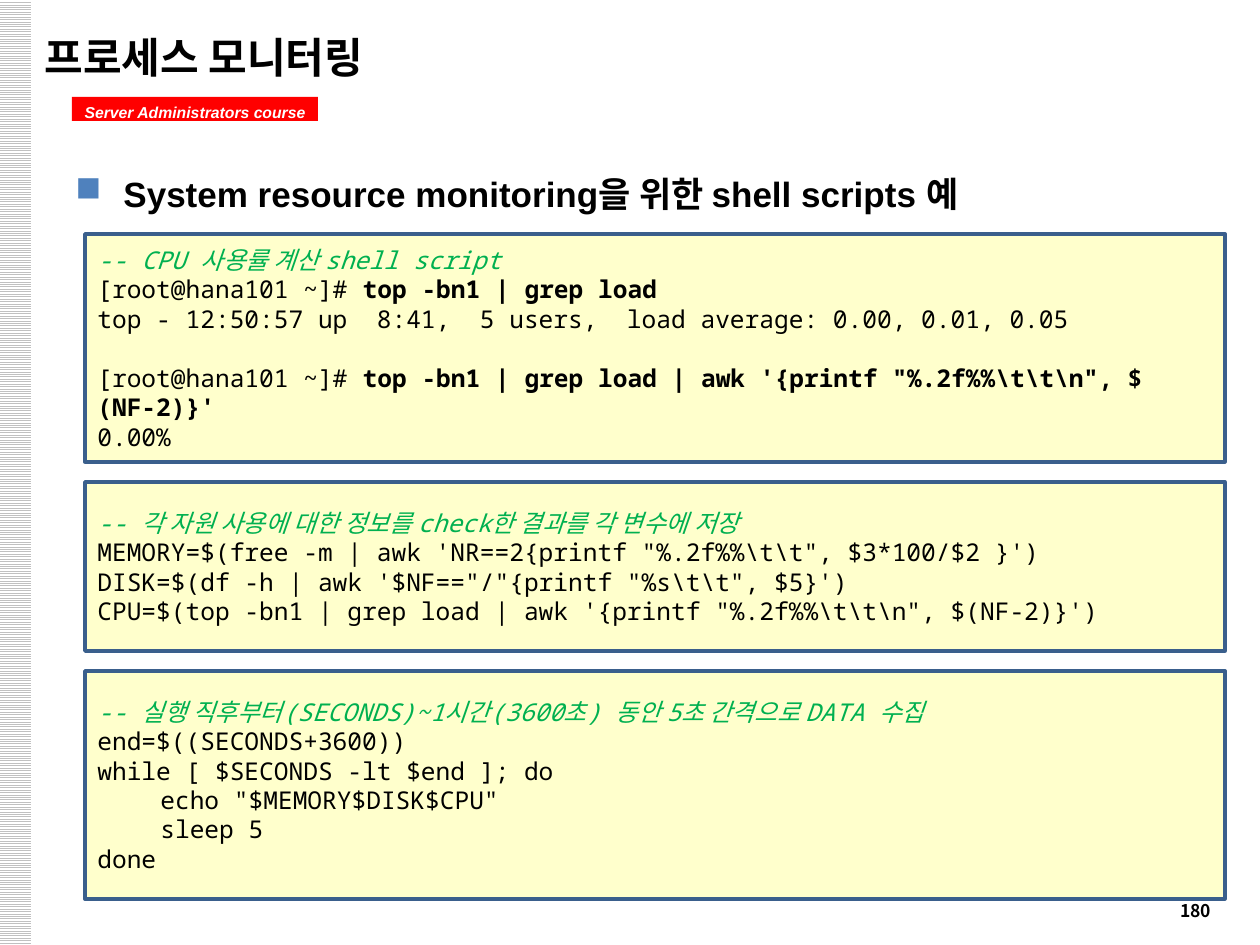
from pptx import Presentation
from pptx.dml.color import RGBColor
from pptx.enum.dml import MSO_PATTERN
from pptx.enum.shapes import MSO_SHAPE
from pptx.enum.text import MSO_ANCHOR, PP_ALIGN
from pptx.oxml.ns import qn
from pptx.util import Emu, Pt
from lxml.etree import SubElement

PX = 914400 / 126
SANS, KOREAN, MONO = "Arial", "Noto Sans CJK KR", "Noto Sans Mono"
BLACK, WHITE, GREEN = "000000", "FFFFFF", "00B050"

PROMPT = "[root@hana101 ~]# "
LISTINGS = [
    (228, "-- CPU 사용률 계산 shell script", [
        (PROMPT, "top -bn1 | grep load"),
        ("top - 12:50:57 up  8:41,  5 users,  load average: 0.00, 0.01, 0.05",),
        (),
        (PROMPT, r"""top -bn1 | grep load | awk '{printf "%.2f%%\t\t\n", $(NF-2)}'"""),
        ("0.00%",),
    ]),
    (169, "-- 각 자원 사용에 대한 정보를 check한 결과를 각 변수에 저장", [
        (r"""MEMORY=$(free -m | awk 'NR==2{printf "%.2f%%\t\t", $3*100/$2 }')""",),
        (r"""DISK=$(df -h | awk '$NF=="/"{printf "%s\t\t", $5}')""",),
        (r"""CPU=$(top -bn1 | grep load | awk '{printf "%.2f%%\t\t\n", $(NF-2)}')""",),
    ]),
    (228, "-- 실행 직후부터(SECONDS)~1시간(3600초) 동안 5초 간격으로 DATA 수집", [
        ("end=$((SECONDS+3600))",),
        ("while [ $SECONDS -lt $end ]; do",),
        ('\techo "$MEMORY$DISK$CPU"',),
        ("\tsleep 5",),
        ("done",),
    ]),
]


def px(length):
    return Emu(round(length * PX))


def color(hex_value):
    return RGBColor.from_string(hex_value)


def style(font, name, size, hex_value, bold=False, italic=False):
    font.name = name
    font.size = Pt(size)
    font.color.rgb = color(hex_value)
    font.bold = bold
    font.italic = italic


def add_rect(slide, box):
    rect = slide.shapes.add_shape(MSO_SHAPE.RECTANGLE, *map(px, box))
    rect.shadow.inherit = False
    rect.line.fill.background()
    return rect


def add_text(slide, box, text, name, size):
    frame = slide.shapes.add_textbox(*map(px, box)).text_frame
    frame.word_wrap = True
    paragraph = frame.paragraphs[0]
    paragraph.text = text
    style(paragraph.font, name, size, BLACK, bold=True)
    return frame


def add_side_strip(slide, box):
    fill = add_rect(slide, box).fill
    fill.patterned()
    fill.pattern = MSO_PATTERN.LIGHT_HORIZONTAL
    fill.fore_color.rgb = color("C0C0C0")
    fill.back_color.rgb = color(WHITE)


def add_course_tag(slide, box):
    tag = add_rect(slide, box)
    tag.fill.solid()
    tag.fill.fore_color.rgb = color("FF0000")
    frame = tag.text_frame
    frame.word_wrap = False
    frame.vertical_anchor = MSO_ANCHOR.TOP
    label = frame.paragraphs[0]
    label.text = "Server Administrators course"
    label.alignment = PP_ALIGN.CENTER
    style(label.font, SANS, 9, WHITE, bold=True, italic=True)


def add_title(slide, box):
    frame = add_text(slide, box, "프로세스 모니터링", KOREAN, 24)
    frame.vertical_anchor = MSO_ANCHOR.MIDDLE


def add_topic(slide, box):
    text = "System resource monitoring을 위한 shell scripts 예"
    topic = add_text(slide, box, "", SANS, 20).paragraphs[0]
    topic.text = text
    topic.line_spacing = 1.5
    properties = topic._p.get_or_add_pPr()
    properties.set("marL", str(px(48)))
    properties.set("indent", str(-px(48)))
    defaults = properties.find(qn("a:defRPr"))
    bullet_color = SubElement(properties, qn("a:buClr"))
    SubElement(bullet_color, qn("a:srgbClr"), val="4F81BD")
    bullet = SubElement(properties, qn("a:buChar"), char="■")
    defaults.addprevious(bullet_color)
    defaults.addprevious(bullet)


def add_listing(slide, box, comment, lines):
    panel = add_rect(slide, box)
    panel.fill.solid()
    panel.fill.fore_color.rgb = color("FFFFCC")
    panel.line.color.rgb = color("3A5F8C")
    panel.line.width = Pt(2)
    frame = panel.text_frame
    frame.word_wrap = True
    frame.vertical_anchor = MSO_ANCHOR.MIDDLE
    heading = frame.paragraphs[0]
    heading.text = comment
    heading.alignment = PP_ALIGN.LEFT
    style(heading.font, MONO, 14, GREEN, italic=True)
    for parts in lines:
        line = frame.add_paragraph()
        line.alignment = PP_ALIGN.LEFT
        style(line.font, MONO, 14, BLACK)
        for position, part in enumerate(parts):
            run = line.add_run()
            run.text = part
            if position == 1:
                run.font.bold = True


def add_listings(slide, left, top, width, gap):
    for height, comment, lines in LISTINGS:
        add_listing(slide, (left, top, width, height), comment, lines)
        top += height + gap


def main():
    deck = Presentation()
    deck.slide_width, deck.slide_height = px(1260), px(945)
    slide = deck.slides.add_slide(deck.slide_layouts[6])
    add_side_strip(slide, (-1, 0, 32, 945))
    add_text(slide, (1168, 900, 92, 6), "180", KOREAN, 10)
    add_course_tag(slide, (72, 97, 246, 24))
    add_title(slide, (32, 19, 1166, 76))
    add_topic(slide, (63, 145, 1143, 727))
    add_listings(slide, left=85, top=234, width=1140, gap=20)
    deck.save("out.pptx")


if __name__ == "__main__":
    main()
